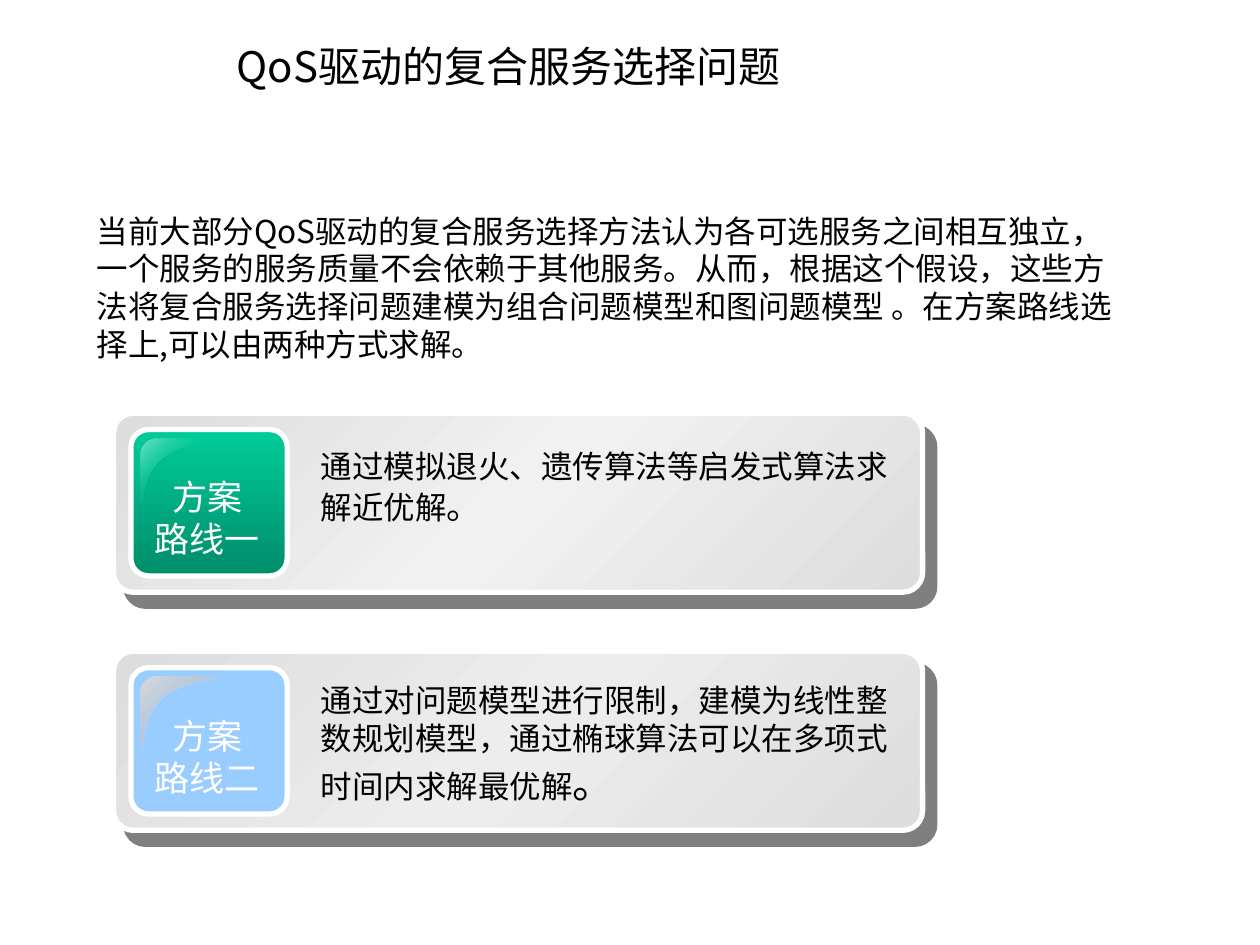
from lxml import etree
from pptx import Presentation
from pptx import util as u
from pptx.dml.color import RGBColor
from pptx.enum import shapes, text
from pptx.oxml import parse_xml
from pptx.oxml.ns import nsdecls, qn

Cm, Pt = u.Cm, u.Pt
BLACK = RGBColor(0, 0, 0)
WHITE = RGBColor(255, 255, 255)
SILVER = RGBColor(0xDD, 0xDD, 0xDD)
PALE = RGBColor(0xF1, 0xF1, 0xF1)
MIST = RGBColor(0xED, 0xED, 0xED)
GREEN = RGBColor(0x00, 0xCC, 0x99)
DEEP = RGBColor(0x00, 0x8D, 0x6A)
MINT = RGBColor(0x73, 0xE2, 0xC6)
BLUE = RGBColor(0x99, 0xCC, 0xFF)
GRAY = RGBColor(0xB2, 0xB2, 0xB2)
LIGHT = RGBColor(0xD8, 0xD8, 0xD8)
SANS = "Noto Sans CJK SC"
SERIF = "Times New Roman"


def paint(shape, stops, angle):
    if len(stops) == 1:
        shape.fill.solid()
        shape.fill.fore_color.rgb = stops[0][1]
        return
    shape.fill.gradient()
    grad = shape._element.spPr.find(qn("a:gradFill"))
    rows = grad.find(qn("a:gsLst"))
    for old in list(rows):
        rows.remove(old)
    for place, color, alpha in stops:
        stop = etree.SubElement(rows, qn("a:gs"), pos=str(place * 1000))
        tint = etree.SubElement(stop, qn("a:srgbClr"), val=str(color))
        if alpha < 100:
            etree.SubElement(tint, qn("a:alpha"), val=str(alpha * 1000))
    grad.find(qn("a:lin")).set("ang", str(angle * 60000))


def write(frame, lines, size, face, color, align=text.PP_ALIGN.LEFT):
    frame.text = "\n".join(lines)
    for para in frame.paragraphs:
        para.alignment = align
        for run in para.runs:
            run.font.size = Pt(size)
            run.font.name = face
            run.font.color.rgb = color


deck = Presentation()
deck.slide_width, deck.slide_height = Cm(25.4), Cm(19.05)
slide = deck.slides.add_slide(deck.slide_layouts[5])

title = slide.shapes.title
title.left, title.top, title.width, title.height = Cm(4.52), Cm(-0.23), Cm(18.8), Cm(3.12)
title.text_frame.vertical_anchor = text.MSO_ANCHOR.MIDDLE
title.text_frame.auto_size = text.MSO_AUTO_SIZE.NONE
write(title.text_frame, ["QoS驱动的复合服务选择问题"], 24, SANS, BLACK)

intro = slide.shapes.add_textbox(Cm(1.7), Cm(4.14), Cm(21.21), Cm(5))
intro.text_frame.word_wrap = True
write(intro.text_frame, [
    "当前大部分QoS驱动的复合服务选择方法认为各可选服务之间相互独立，"
    "一个服务的服务质量不会依赖于其他服务。从而，根据这个假设，"
    "这些方法将复合服务选择问题建模为组合问题模型和图问题模型 。"
    "在方案路线选择上,可以由两种方式求解。"], 18, SANS, BLACK)

plans = [
    ("路线一", "通过模拟退火、遗传算法等启发式算法求解近优解", 20, 0.56, 1.88, PALE,
     [(0, GREEN, 100), (100, DEEP, 100)],
     [(0, MINT, 100), (50, GREEN, 0), (100, MINT, 100)]),
    ("路线二", "通过对问题模型进行限制，建模为线性整数规划模型，"
     "通过椭球算法可以在多项式时间内求解最优解", 24, 0.48, 3.81, MIST,
     [(0, BLUE, 100)],
     [(0, GRAY, 0), (100, LIGHT, 100)]),
]
curve = [(15, 0), (0, 15), (0, 30), (0, 147), (8, 147), (3, 76), (43, 43),
         (81, 10), (157, 8), (155, 0)]

for row, (name, note, stop, drop, tall, mid, tones, shine) in enumerate(plans):
    top = 8.33 + 4.8 * row
    group = slide.shapes.add_group_shape().shapes

    card = group.add_shape(shapes.MSO_SHAPE.ROUNDED_RECTANGLE,
                           Cm(2.29), Cm(top), Cm(16.31), Cm(3.61))
    card.adjustments[0] = 0.11
    paint(card, [(0, SILVER, 100), (50, mid, 100), (100, SILVER, 100)], 225)
    tile = group.add_shape(shapes.MSO_SHAPE.ROUNDED_RECTANGLE,
                           Cm(2.64), Cm(top + 0.33), Cm(3.15), Cm(2.95))
    tile.adjustments[0] = 0.12
    paint(tile, tones, 90)
    for box in (card, tile):
        box.shadow.inherit = False
        box.line.color.rgb = WHITE
        box.line.width = Pt(3)
    card._element.spPr.find(qn("a:effectLst")).append(parse_xml(
        f'<a:outerShdw {nsdecls("a")} blurRad="0" dist="{Pt(10.6)}" dir="{49 * 60000}" '
        'algn="ctr" rotWithShape="0"><a:srgbClr val="000000">'
        '<a:alpha val="50000"/></a:srgbClr></a:outerShdw>'))

    pen = group.build_freeform(30, 0, scale=Cm(0.01))
    pen.add_line_segments(curve, close=True)
    gloss = pen.convert_to_shape(Cm(2.84), Cm(top + 0.51))
    gloss.shadow.inherit = False
    gloss.line.fill.background()
    paint(gloss, shine, 225)
    legs = gloss._element.xpath(".//a:lnTo")
    for start in (0, 4, 7):
        bend = etree.Element(qn("a:cubicBezTo"))
        legs[start].addprevious(bend)
        for leg in legs[start:start + 3]:
            bend.append(leg[0])
            leg.getparent().remove(leg)

    label = group.add_textbox(Cm(2.87), Cm(top + 1.14), Cm(2.62), Cm(1.96))
    label.text_frame.word_wrap = False
    write(label.text_frame, ["方案", name], 20, SERIF, WHITE, text.PP_ALIGN.CENTER)

    body = group.add_textbox(Cm(6.22), Cm(top + drop), Cm(11.99), Cm(tall))
    body.text_frame.word_wrap = True
    write(body.text_frame, [note], 18, SERIF, BLACK)
    end = body.text_frame.paragraphs[0].add_run()
    end.text = "。"
    end.font.size, end.font.name = Pt(stop), SERIF
    end.font.color.rgb = BLACK

deck.save("out.pptx")
